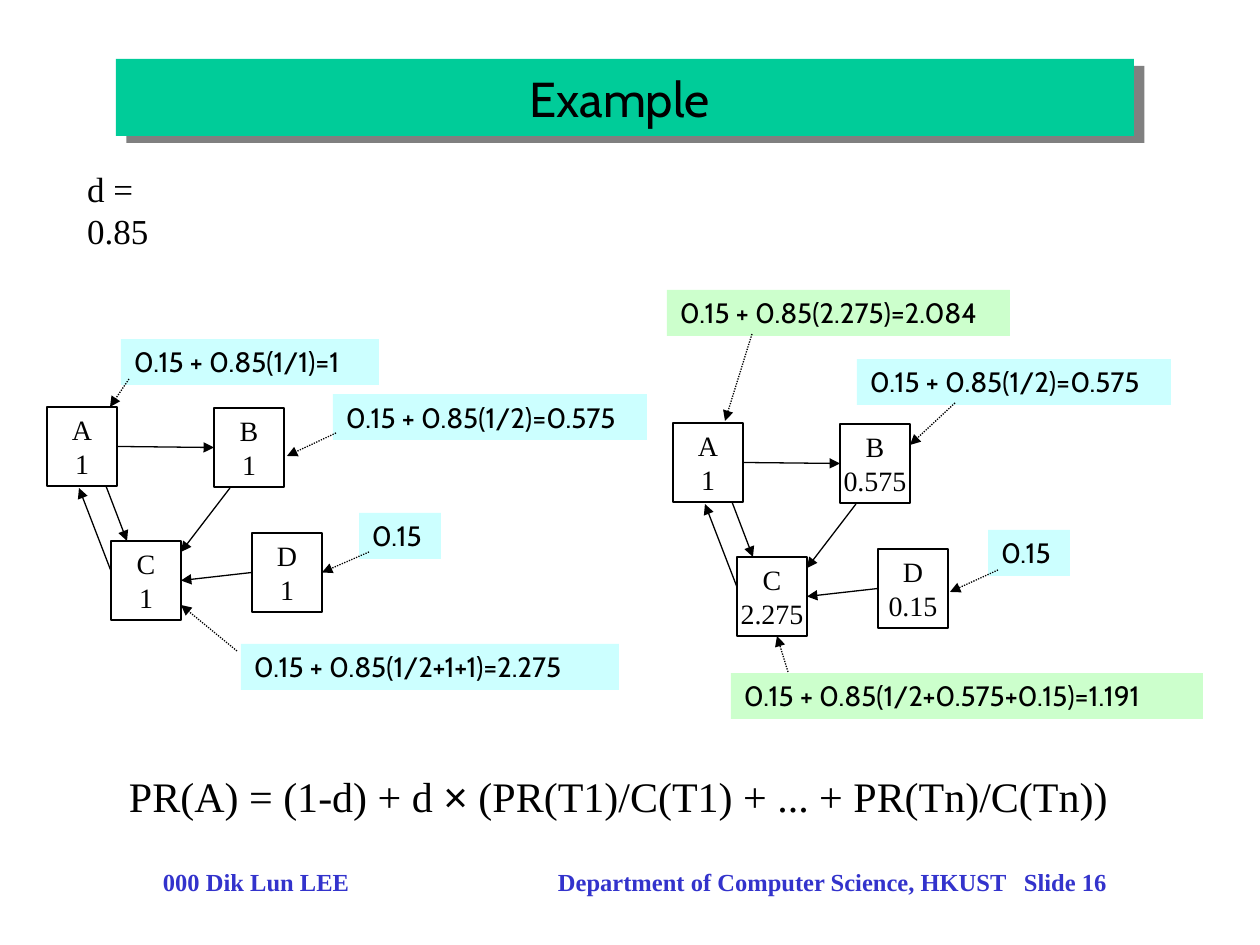
from lxml import etree
from pptx import Presentation
from pptx import util as u
from pptx.dml.color import RGBColor
from pptx.enum import dml, shapes, text
from pptx.oxml import parse_xml
from pptx.oxml.ns import qn

SCALE = 914400 / 126
NS = 'xmlns:a="http://schemas.openxmlformats.org/drawingml/2006/main"'
HEX = {"black": "000000", "green": "00CC99", "gray": "808080",
       "blue": "3333CC", "cyan": "CCFFFF", "mint": "CCFFCC"}
SERIF, SANS, SIGN = "Times New Roman", "Cabin", "Arial"
LEFT, MID = text.PP_ALIGN.LEFT, text.PP_ALIGN.CENTER
TOP, BOTTOM, RIGHT, WEST = 0, 2, 3, 1


def px(n):
    return u.Emu(round(n * SCALE))


def rgb(name):
    return RGBColor.from_string(HEX[name])


def write(shape, lines, size=16, font=SERIF, color="black", bold=False,
          align=LEFT, anchor=text.MSO_ANCHOR.TOP, wrap=False, inset=13, tabs=()):
    """Each line is a string or a list of (string, font) runs."""
    frame = shape.text_frame
    frame.word_wrap = wrap
    frame.vertical_anchor = anchor
    frame.margin_left, frame.margin_right = px(inset), px(13)
    frame.margin_top = frame.margin_bottom = px(6)
    for i, line in enumerate(lines):
        para = frame.add_paragraph() if i else frame.paragraphs[0]
        para.alignment = align
        if tabs:
            stops = etree.SubElement(para._p.get_or_add_pPr(), qn("a:tabLst"))
            for pos in tabs:
                etree.SubElement(stops, qn("a:tab"), pos=str(px(pos)), algn="l")
        for part, face in [(line, font)] if isinstance(line, str) else line:
            run = para.add_run()
            run.text = part
            run.font.name, run.font.size = face, u.Pt(size)
            run.font.bold = bold
            run.font.color.rgb = rgb(color)


class Board:
    def __init__(self, slide):
        self.slide = slide

    def label(self, x, y, w, h, lines, **style):
        box = self.slide.shapes.add_textbox(*map(px, (x, y, w, h)))
        write(box, lines, **style)

    def rect(self, x, y, w, h, lines, fill=None, line=None, **style):
        box = self.slide.shapes.add_shape(
            shapes.MSO_SHAPE.RECTANGLE, *map(px, (x, y, w, h)))
        box.shadow.inherit = False
        if fill:
            box.fill.solid()
            box.fill.fore_color.rgb = rgb(fill)
        else:
            box.fill.background()
        if line:
            box.line.color.rgb = rgb(line)
            box.line.width = u.Pt(0.75)
        else:
            box.line.fill.background()
        write(box, lines, **style)
        return box

    def banner(self, x, y, w, h, title):
        box = self.rect(x, y, w, h, [title], fill="green", size=28, font=SANS,
                        align=MID, anchor=text.MSO_ANCHOR.MIDDLE)
        effect = box._element.spPr.find(qn("a:effectLst"))
        effect.append(parse_xml(
            f'<a:outerShdw {NS} dist="{u.Pt(7.2)}" dir="{34 * 60000}" algn="ctr" '
            f'rotWithShape="0"><a:srgbClr val="{HEX["gray"]}"/></a:outerShdw>'))

    def arrow(self, start, end, dotted=False, tail=None, head=None):
        """tail and head are (shape, side) pairs to join to."""
        link = self.slide.shapes.add_connector(
            shapes.MSO_CONNECTOR.STRAIGHT, *map(px, (*start, *end)))
        link.line.color.rgb = rgb("black")
        link.line.width = u.Pt(0.75)
        if dotted:
            link.line.dash_style = dml.MSO_LINE.ROUND_DOT
        etree.SubElement(link.line._get_or_add_ln(), qn("a:tailEnd"), type="triangle")
        etree.SubElement(link._element.spPr, qn("a:effectLst"))
        if tail:
            link.begin_connect(*tail)
        if head:
            link.end_connect(*head)

    def graph(self, x, y, ranks):
        """Four page nodes and their links, with node A at (x, y)."""
        spots = {"A": (0, 0), "B": (167, 1), "C": (64, 134), "D": (205, 126)}
        node = {key: self.rect(x + dx, y + dy, 70, 79, [key, ranks[key]],
                               line="black", align=MID,
                               anchor=text.MSO_ANCHOR.MIDDLE)
                for key, (dx, dy) in spots.items()}
        for a, b, c, d in [(64, 164, 32, 81), (59, 79, 80, 134), (183, 81, 134, 145)]:
            self.arrow((x + a, y + b), (x + c, y + d))
        for src, out, dst, into in [("A", RIGHT, "B", WEST), ("D", WEST, "C", RIGHT)]:
            self.arrow((x, y), (x, y), tail=(node[src], out), head=(node[dst], into))
        return node

    def note(self, x, y, w, words, start, end, fill="cyan", head=None):
        self.rect(x, y, w, 46, [words], fill=fill, font=SANS, wrap=True)
        self.arrow(start, end, dotted=True, head=head)


def main():
    deck = Presentation()
    deck.slide_width, deck.slide_height = u.Inches(10), u.Inches(7.5)
    board = Board(deck.slides.add_slide(deck.slide_layouts[6]))

    # Footer, title and damping factor
    board.label(63, 861, 1144, 63,
                ["000 Dik Lun LEE\tDepartment of Computer Science, HKUST\tSlide 16"],
                size=14, color="blue", bold=True, wrap=True, inset=100,
                tabs=(395, 861))
    board.banner(116, 59, 1018, 77, "Example ")
    board.label(74, 161, 142, 55, ["d = 0.85"], size=20)

    # First iteration
    first = board.graph(47, 407, dict.fromkeys("ABCD", "1"))
    board.note(333, 394, 314, "0.15 + 0.85(1/2)=0.575", (336, 433), (287, 456))
    board.note(359, 513, 82, "0.15", (369, 552), (321, 575),
               head=(first["D"], RIGHT))
    board.note(241, 644, 378, "0.15 + 0.85(1/2+1+1)=2.275", (237, 651), (181, 605))
    board.note(121, 339, 258, "0.15 + 0.85(1/1)=1", (129, 379), (110, 407))

    # Second iteration
    board.graph(673, 423, {"A": "1", "B": "0.575", "C": "2.275", "D": "0.15"})
    board.note(988, 530, 82, "0.15", (998, 570), (950, 592))
    board.note(731, 673, 472, "0.15 + 0.85(1/2+0.575+0.15)=1.191",
               (788, 672), (777, 636), fill="mint")
    board.note(857, 359, 314, "0.15 + 0.85(1/2)=0.575", (955, 403), (910, 445))
    board.note(667, 290, 343, "0.15 + 0.85(2.275)=2.084",
               (752, 334), (725, 421), fill="mint")

    # Formula
    board.label(116, 765, 1014, 63,
                [[("PR(A) = (1-d) + d ", SERIF), ("×", SIGN),
                  (" (PR(T1)/C(T1) + ... + PR(Tn)/C(Tn))", SERIF)]], size=24)

    deck.save("out.pptx")


if __name__ == "__main__":
    main()
